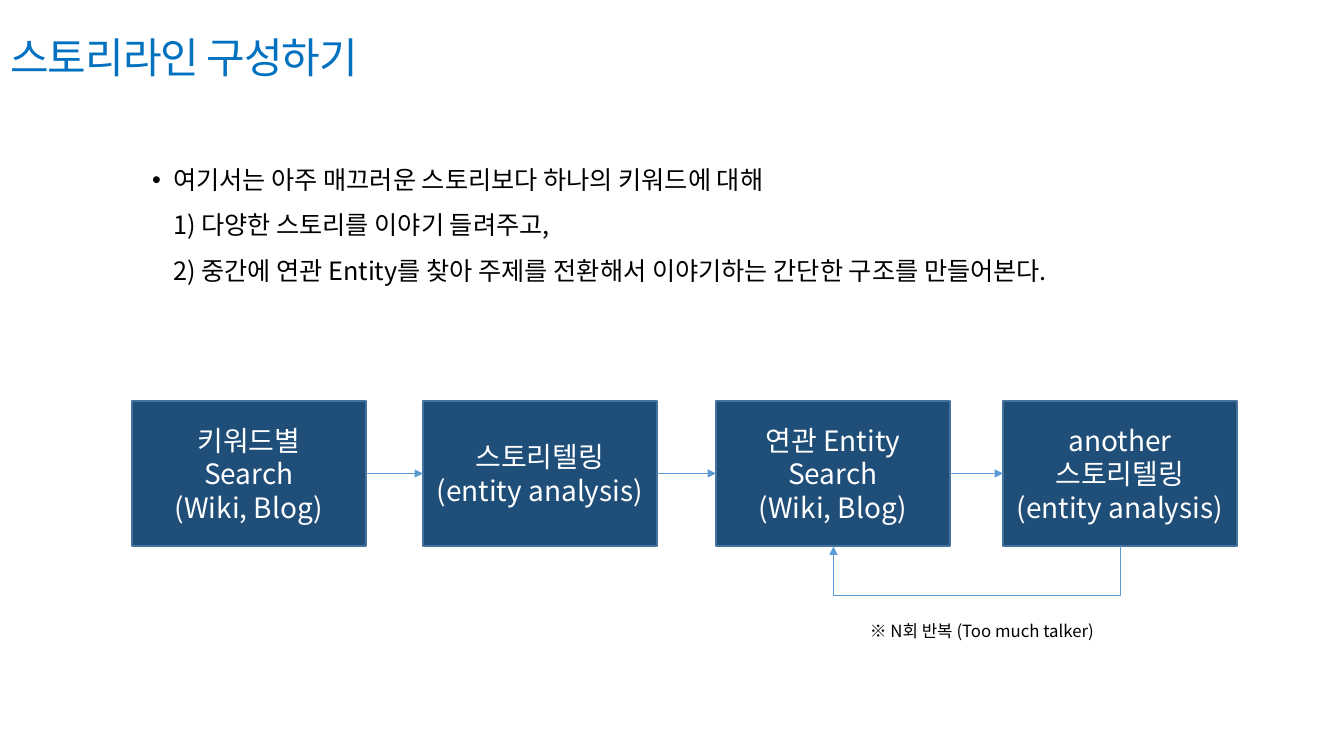
from lxml.etree import SubElement
from pptx import Presentation
from pptx.dml.color import RGBColor
from pptx.enum.shapes import MSO_CONNECTOR, MSO_SHAPE
from pptx.enum.text import MSO_ANCHOR, MSO_AUTO_SIZE, PP_ALIGN
from pptx.oxml.ns import qn
from pptx.util import Pt

PX = 914400 / 100.8
TITLE_BLUE = RGBColor(0x00, 0x70, 0xC0)
NAVY = RGBColor(0x1F, 0x4E, 0x79)
EDGE = RGBColor(0x43, 0x73, 0x9E)
ARROW = RGBColor(0x5B, 0x9B, 0xD5)
BLACK = RGBColor(0, 0, 0)
WHITE = RGBColor(255, 255, 255)
CJK = "Noto Sans CJK KR"


def px(n):
    """Turn pixels into EMU."""
    return round(n * PX)


def place(sp, x, y, w, h):
    """Move a shape to a pixel box."""
    sp.left, sp.top, sp.width, sp.height = px(x), px(y), px(w), px(h)


def write(sp, text, size, color, font=CJK, align=PP_ALIGN.LEFT, anchor=MSO_ANCHOR.TOP):
    """Fill a shape with one formatted paragraph and return it."""
    tf = sp.text_frame
    tf.word_wrap = True
    tf.auto_size = MSO_AUTO_SIZE.NONE
    tf.vertical_anchor = anchor
    p = tf.paragraphs[0]
    p.text = text
    p.alignment = align
    p.space_before = Pt(0)
    for r in p.runs:
        r.font.size = Pt(size)
        r.font.name = font
        r.font.color.rgb = color
        SubElement(r.font._element, qn("a:ea")).set("typeface", CJK)
    return p


def add_title(s, x, y, w, h):
    """Set the slide title."""
    sp = s.shapes.title
    place(sp, x, y, w, h)
    p = write(sp, "스토리라인 구성하기", 30, TITLE_BLUE, "Arial")
    p.runs[0].font._element.set("spc", "-70")


def add_body(s, x, y, w, h):
    """Set the bulleted explanation."""
    sp = s.placeholders[1]
    place(sp, x, y, w, h)
    p = write(sp, "여기서는 아주 매끄러운 스토리보다 하나의 키워드에 대해\v"
              "1) 다양한 스토리를 이야기 들려주고,\v"
              "2) 중간에 연관 Entity를 찾아 주제를 전환해서 이야기하는 간단한 구조를 만들어본다.",
              18, BLACK)
    p.line_spacing = 1.5
    pPr = p._p.get_or_add_pPr()
    pPr.set("marL", str(px(31)))
    pPr.set("indent", str(px(-21)))
    SubElement(pPr, qn("a:buFont")).set("typeface", "Arial")
    SubElement(pPr, qn("a:buChar")).set("char", "•")


def add_arrow(s, kind, x1, y1, x2, y2):
    """Draw a thin connector with an arrowhead at its end."""
    c = s.shapes.add_connector(kind, x1, y1, x2, y2)
    c.line.color.rgb = ARROW
    c.line.width = Pt(0.5)
    SubElement(c.line._get_or_add_ln(), qn("a:tailEnd")).set("type", "triangle")
    SubElement(c._element.spPr, qn("a:effectLst"))
    return c


def add_step(s, text, x, y, w, h):
    """Draw one step of the flow."""
    sp = s.shapes.add_shape(MSO_SHAPE.RECTANGLE, px(x), px(y), px(w), px(h))
    sp.shadow.inherit = False
    sp.fill.solid()
    sp.fill.fore_color.rgb = NAVY
    sp.line.color.rgb = EDGE
    sp.line.width = Pt(1)
    write(sp, text, 20, WHITE, align=PP_ALIGN.CENTER, anchor=MSO_ANCHOR.MIDDLE)
    return sp


def add_loop(s, start, end, drop):
    """Draw the return arrow beneath two steps as a quarter-turned elbow."""
    x1, x2 = (sp.left + sp.width // 2 for sp in (start, end))
    bottom = start.top + start.height
    mid, half = (x1 + x2) // 2, (x1 - x2) // 2
    c = add_arrow(s, MSO_CONNECTOR.ELBOW, mid, bottom - half, mid + px(1), bottom + half)
    c._element.spPr.find(qn("a:xfrm")).set("rot", "5400000")
    gd = SubElement(c._element.spPr.find(qn("a:prstGeom")).find(qn("a:avLst")), qn("a:gd"))
    gd.set("name", "adj1")
    gd.set("fmla", f"val {drop * 100000}")


def add_flow(s, x, y, w, h):
    """Draw the steps, their arrows, the loop and its note."""
    texts = ["키워드별\vSearch\v(Wiki, Blog)", "스토리텔링\v(entity analysis)",
             "연관 Entity\vSearch\v(Wiki, Blog)", "another\v스토리텔링\v(entity analysis)"]
    steps = [add_step(s, text, x + dx, y, 234, h)
             for text, dx in zip(texts, (0, 291, 584, w - 234))]
    for a, b in zip(steps, steps[1:]):
        c = add_arrow(s, MSO_CONNECTOR.STRAIGHT, 0, 0, 0, 0)
        c.begin_connect(a, 3)
        c.end_connect(b, 1)
    add_loop(s, steps[3], steps[2], 50)
    note = s.shapes.add_textbox(px(x + 728), px(y + h + 70), px(286), px(30))
    write(note, "※ N회 반복 (Too much talker)", 12, BLACK)


prs = Presentation()
prs.slide_width, prs.slide_height = px(1344), px(756)
s = prs.slides.add_slide(prs.slide_layouts[1])
add_title(s, 0, 26, 1344, 61)
add_body(s, 132, 144, 1106, 174)
add_flow(s, 132, 401, 1105, 145)
prs.save("out.pptx")
